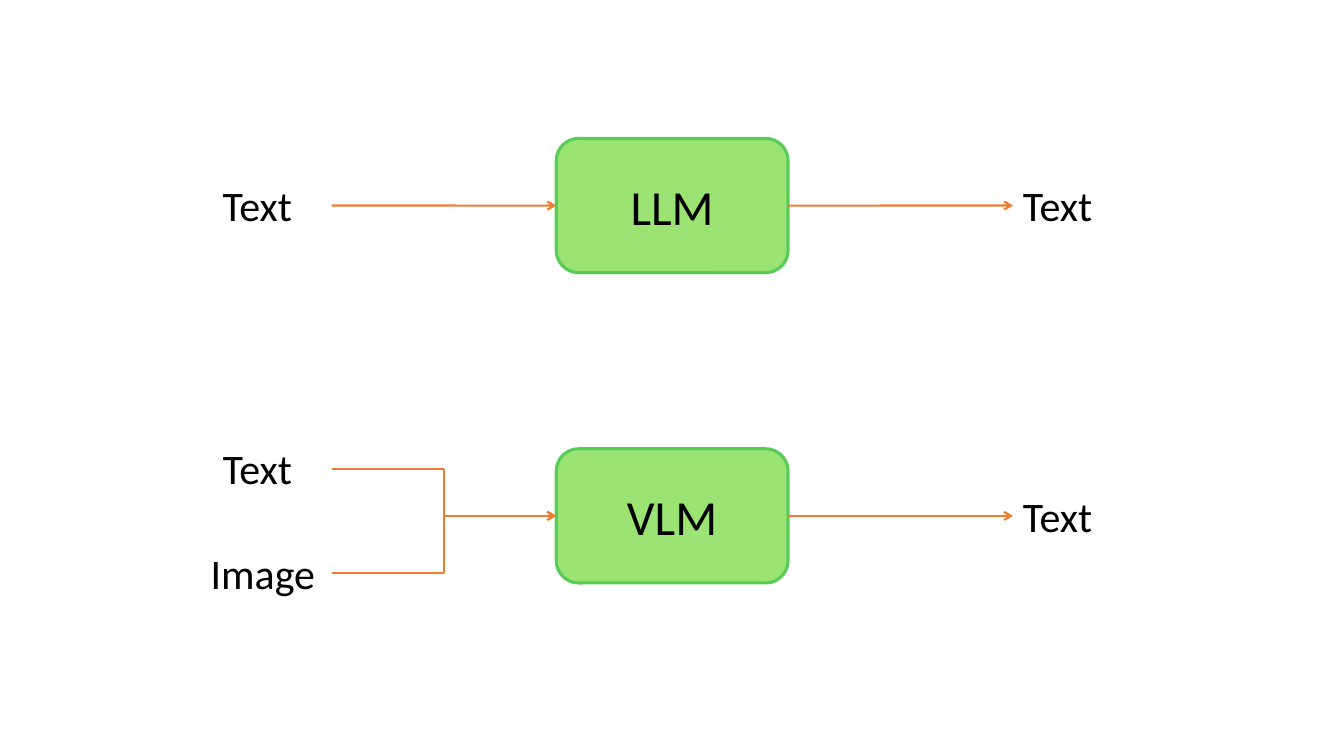
from dataclasses import dataclass

from lxml.etree import SubElement
from pptx import Presentation
from pptx.dml.color import RGBColor
from pptx.enum.shapes import MSO_CONNECTOR as Connector, MSO_SHAPE as Preset
from pptx.enum.text import MSO_ANCHOR as Anchor, MSO_AUTO_SIZE as AutoSize, PP_ALIGN as Align
from pptx.oxml.ns import qn
from pptx.shapes.autoshape import Shape
from pptx.slide import Slide
from pptx.util import Cm, Pt

GREEN = RGBColor(0x9B, 0xE3, 0x73)
DARK_GREEN = RGBColor(0x58, 0xCC, 0x58)
ORANGE = RGBColor(0xED, 0x7D, 0x31)
BLACK = RGBColor(0, 0, 0)
FONT = "Calibri"

# Shared columns and sizes, in centimetres
MODEL_LEFT, MODEL_WIDTH, MODEL_HEIGHT = 14.02, 5.84, 3.38
INPUT_RIGHT, OUTPUT_LEFT, OUTPUT_WIDTH = 8.36, 25.53, 3.68
LABEL_HEIGHT = 1.55
LEFT_SIDE, RIGHT_SIDE = 1, 3


@dataclass(frozen=True)
class Input:
    text: str
    middle: float
    width: float


@dataclass(frozen=True)
class Model:
    name: str
    middle: float
    inputs: tuple[Input, ...]
    output: str = "Text"


MODELS = (
    Model("LLM", 5.18, (Input("Text", 5.18, 3.0),)),
    Model("VLM", 13.0, (Input("Image", 14.44, 3.3), Input("Text", 11.81, 3.0))),
)


def write_text(shape: Shape, text: str, *, size: float, align: Align = Align.LEFT,
               anchor: Anchor = Anchor.TOP) -> None:
    frame = shape.text_frame
    frame.word_wrap = True
    frame.vertical_anchor = anchor
    paragraph = frame.paragraphs[0]
    paragraph.alignment = align
    run = paragraph.add_run()
    run.text = text
    run.font.name = FONT
    run.font.size = Pt(size)
    run.font.color.rgb = BLACK


def add_label(slide: Slide, text: str, left: float, middle: float, width: float) -> Shape:
    label = slide.shapes.add_textbox(
        Cm(left), Cm(middle - LABEL_HEIGHT / 2), Cm(width), Cm(LABEL_HEIGHT))
    write_text(label, text, size=30)
    label.text_frame.auto_size = AutoSize.SHAPE_TO_FIT_TEXT
    return label


def add_model_box(slide: Slide, model: Model) -> Shape:
    box = slide.shapes.add_shape(
        Preset.ROUNDED_RECTANGLE, Cm(MODEL_LEFT), Cm(model.middle - MODEL_HEIGHT / 2),
        Cm(MODEL_WIDTH), Cm(MODEL_HEIGHT))
    box.shadow.inherit = False
    box.fill.solid()
    box.fill.fore_color.rgb = GREEN
    box.line.color.rgb = DARK_GREEN
    box.line.width = Pt(2.25)
    write_text(box, model.name, size=35, align=Align.CENTER, anchor=Anchor.MIDDLE)
    return box


def add_arrow(slide: Slide, source: Shape, target: Shape, kind: Connector) -> None:
    arrow = slide.shapes.add_connector(kind, 0, 0, 0, 0)
    arrow.begin_connect(source, RIGHT_SIDE)
    arrow.end_connect(target, LEFT_SIDE)
    arrow.line.color.rgb = ORANGE
    arrow.line.width = Pt(1.5)
    SubElement(arrow.line._get_or_add_ln(), qn("a:tailEnd"), type="arrow")
    SubElement(arrow._element.spPr, qn("a:effectLst"))


def add_model(slide: Slide, model: Model) -> None:
    box = add_model_box(slide, model)

    # Inputs: straight when level with the model, bent otherwise
    for entry in model.inputs:
        label = add_label(
            slide, entry.text, INPUT_RIGHT - entry.width, entry.middle, entry.width)
        level = entry.middle == model.middle
        add_arrow(slide, label, box, Connector.STRAIGHT if level else Connector.ELBOW)

    # Output
    output = add_label(slide, model.output, OUTPUT_LEFT, model.middle, OUTPUT_WIDTH)
    add_arrow(slide, box, output, Connector.STRAIGHT)


def main() -> None:
    presentation = Presentation()
    presentation.slide_width = Cm(33.87)
    presentation.slide_height = Cm(19.05)
    slide = presentation.slides.add_slide(presentation.slide_layouts[6])
    for model in MODELS:
        add_model(slide, model)
    presentation.save("out.pptx")


if __name__ == "__main__":
    main()
